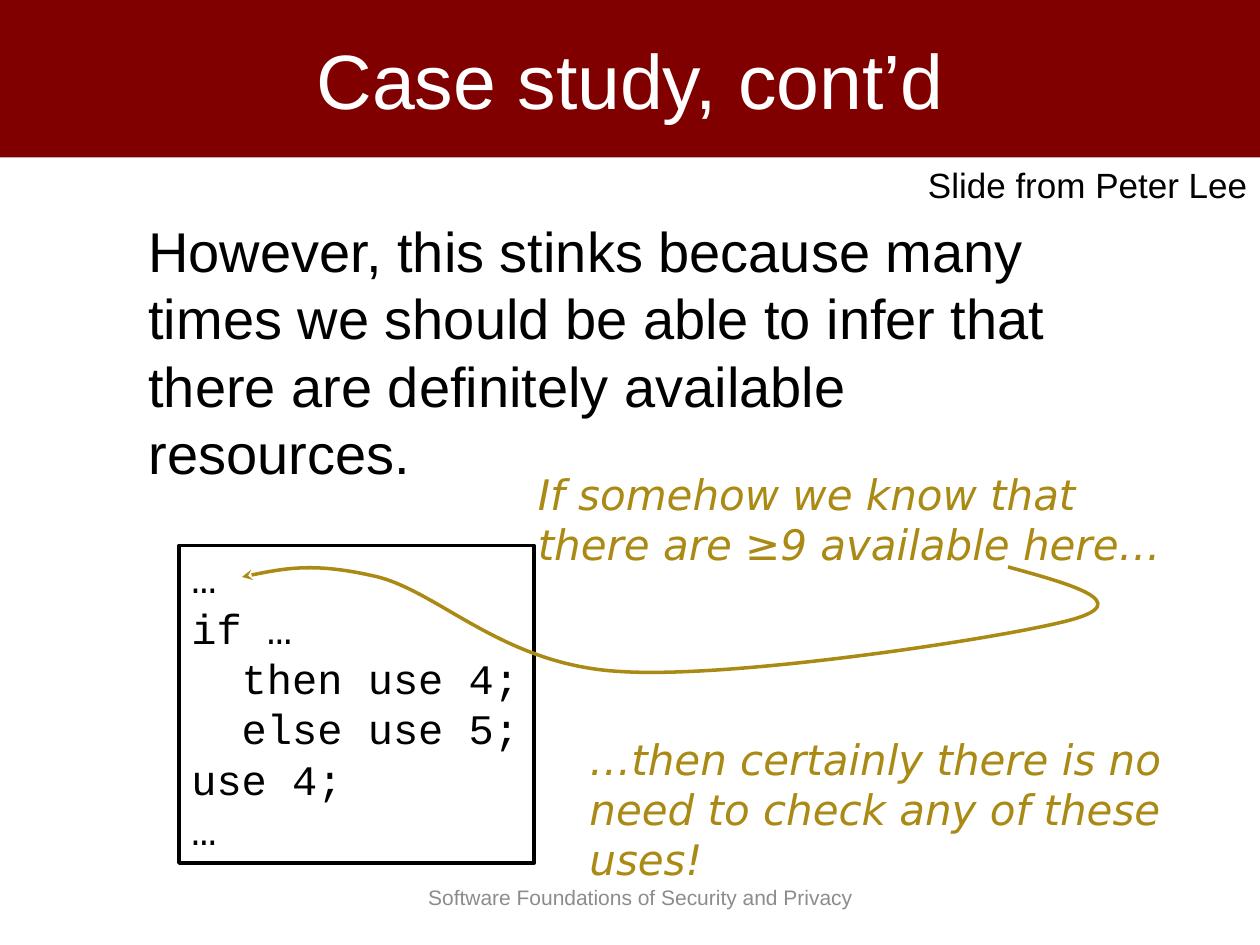
"""Builds the case study slide with its code box and annotations."""
from lxml.etree import SubElement
from pptx import Presentation
from pptx.dml.color import RGBColor
from pptx.enum.shapes import MSO_SHAPE
from pptx.enum.text import MSO_ANCHOR, PP_ALIGN
from pptx.oxml.ns import qn
from pptx.util import Inches, Pt

BLACK, WHITE, MAROON, GOLD, GRAY = "000000", "FFFFFF", "800000", "AA8A14", "8C8C8C"
SANS, MONO, NOTE = "Arial", "Courier New", "DejaVu Sans"
LEFT, CENTER, RIGHT = PP_ALIGN.LEFT, PP_ALIGN.CENTER, PP_ALIGN.RIGHT

TITLE = "Case study, cont’d"
CODE = ["…", "if …", "  then use 4;", "  else use 5;", "use 4;", "…"]
TEXTS = [
    ("Software Foundations of Security and Privacy",
     (3.3, 6.92, 3.6, 0.4), 12, SANS, GRAY, LEFT, MSO_ANCHOR.MIDDLE),
    ("However, this stinks because many times we should be able to infer "
     "that there are definitely available resources.",
     (1.08, 1.67, 7.83, 2.25), 32, SANS, BLACK, LEFT, MSO_ANCHOR.TOP),
    ("If somehow we know that there are ≥9 available here…",
     (4.17, 3.67, 5.33, 0.9), 24, NOTE, GOLD, LEFT, MSO_ANCHOR.TOP),
    ("…then certainly there is no need to check any of these uses!",
     (4.58, 5.77, 4.9, 1.3), 24, NOTE, GOLD, LEFT, MSO_ANCHOR.TOP),
    ("Slide from Peter Lee",
     (7.19, 1.25, 2.81, 0.44), 20, SANS, BLACK, RIGHT, MSO_ANCHOR.TOP),
]
CURVE = [(8, 4.5),
         (8.51, 4.64), (9.01, 4.78), (8.5, 4.92),
         (7.99, 5.06), (5.83, 5.39), (4.92, 5.33),
         (4, 5.28), (3.5, 4.71), (3, 4.58),
         (2.5, 4.46), (2.21, 4.52), (1.92, 4.58)]


def rgb(color):
    return RGBColor.from_string(color)


def write(sp, lines, size, font, color, align=LEFT, anchor=MSO_ANCHOR.TOP, wrap=True):
    tf = sp.text_frame
    tf.word_wrap = wrap
    tf.vertical_anchor = anchor
    tf.text = "\n".join(lines)
    for p in tf.paragraphs:
        p.alignment = align
        for r in p.runs:
            r.font.size = Pt(size)
            r.font.name = font
            r.font.italic = font == NOTE
            r.font.color.rgb = rgb(color)


def style(sp, fill=None, line=None):
    sp.shadow.inherit = False
    if fill:
        sp.fill.solid()
        sp.fill.fore_color.rgb = rgb(fill)
    else:
        sp.fill.background()
    if line:
        sp.line.color.rgb = rgb(line)
        sp.line.width = Pt(2)
    else:
        sp.line.fill.background()


def add_box(s, at, fill=None, line=None):
    sp = s.shapes.add_shape(MSO_SHAPE.RECTANGLE, *map(Inches, at))
    style(sp, fill, line)
    return sp


def add_curve_arrow(s, points, color):
    start, *rest = [(Inches(x), Inches(y)) for x, y in points]
    builder = s.shapes.build_freeform(*start)
    builder.add_line_segments(rest, close=False)
    sp = builder.convert_to_shape()
    style(sp, line=color)
    path = next(sp.element.iter(qn("a:path")))
    steps = path.findall(qn("a:lnTo"))
    for i in range(0, len(steps), 3):
        bezier = SubElement(path, qn("a:cubicBezTo"))
        for step in steps[i:i + 3]:
            bezier.append(step[0])
            path.remove(step)
    ln = next(sp.element.spPr.iterchildren(qn("a:ln")))
    SubElement(ln, qn("a:tailEnd"), type="stealth")


def main():
    prs = Presentation()
    prs.slide_width, prs.slide_height = Inches(10), Inches(7.5)
    s = prs.slides.add_slide(prs.slide_layouts[6])
    write(add_box(s, (0, 0, 10.01, 1.25), fill=MAROON), [TITLE],
          44, SANS, WHITE, CENTER, MSO_ANCHOR.MIDDLE)
    write(add_box(s, (1.42, 4.33, 2.82, 2.52), line=BLACK), CODE,
          24, MONO, BLACK, wrap=False)
    for text, at, *look in TEXTS:
        write(s.shapes.add_textbox(*map(Inches, at)), [text], *look)
    add_curve_arrow(s, CURVE, GOLD)
    prs.save("out.pptx")


if __name__ == "__main__":
    main()
